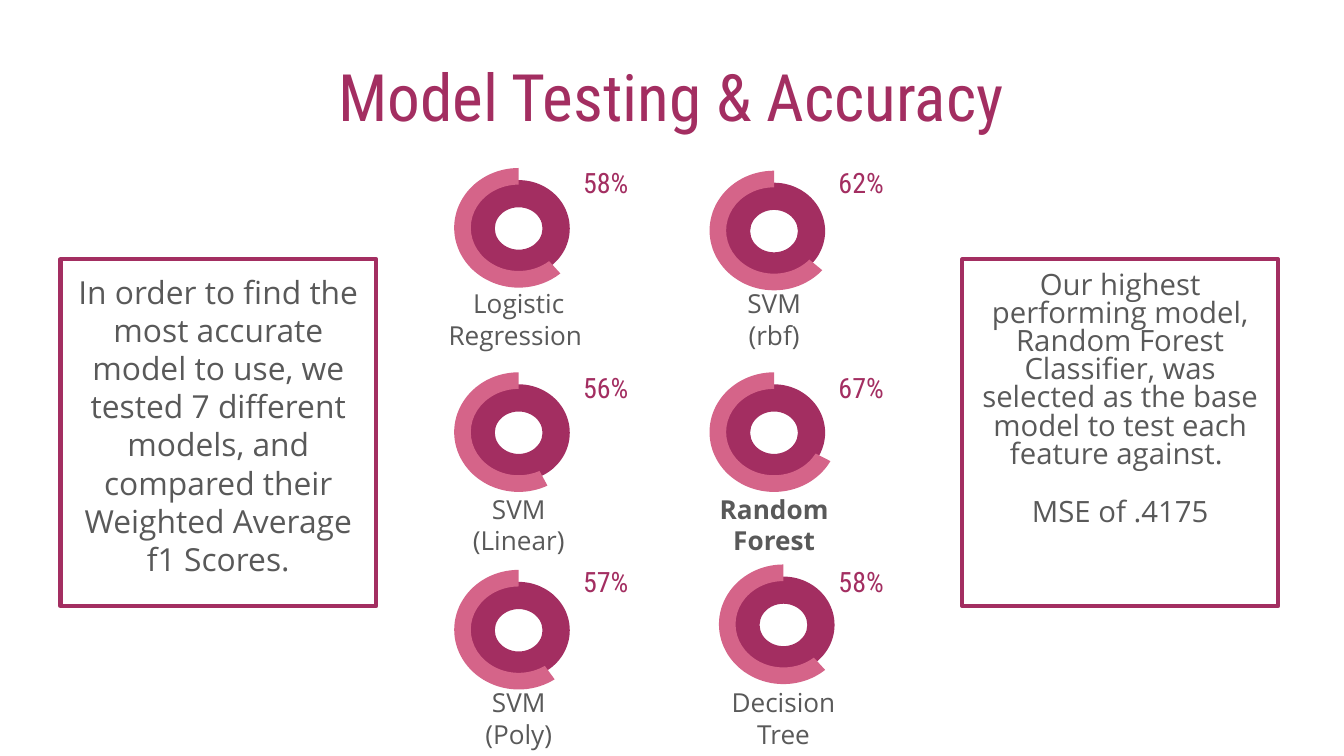
from dataclasses import dataclass

from pptx import Presentation
from pptx.dml.color import RGBColor
from pptx.enum.shapes import MSO_SHAPE
from pptx.enum.text import MSO_ANCHOR, PP_ALIGN
from pptx.util import Inches, Pt


@dataclass(frozen=True)
class Theme:
    """Colours, fonts and type sizes of the slide."""
    plum: RGBColor = RGBColor(0xA3, 0x2E, 0x61)
    pink: RGBColor = RGBColor(0xD5, 0x64, 0x89)
    gray: RGBColor = RGBColor(0x59, 0x59, 0x59)
    heading_font: str = "Roboto Condensed"
    body_font: str = "Open Sans"
    title_size: float = 35
    percent_size: float = 15
    caption_size: float = 14
    method_size: float = 17
    result_size: float = 15.7
    border: float = 2.25


@dataclass(frozen=True)
class Model:
    """A tested model, its score and the placing of its gauge in the cell."""
    name: str
    score: str
    arc_start: float
    gauge_top: float
    caption_width: float
    gauge_left: float = 0
    bold: bool = False


THEME = Theme()
GRID_LEFT, COLUMN_STEP = 3.38, 1.9
ROW_TOPS = (1.13, 2.66, 4.1)
MODEL_ROWS = (
    (Model("Logistic Regression ", "58%", 47.6, 0.12, 1.41),
     Model("SVM (rbf)", "62%", 39.48, 0.14, 0.81)),
    (Model("SVM (Linear)", "56%", 61.75, 0.11, 1.11),
     Model("Random Forest", "67%", 27.23, 0.11, 1.11, bold=True)),
    (Model("SVM (Poly)", "57%", 54.12, 0.14, 0.81),
     Model("Decision Tree", "58%", 47.6, 0.1, 1.24, gauge_left=0.07)),
)
METHOD = ("In order to find the most accurate model to use, we tested 7 different "
          "models, and compared their Weighted Average f1 Scores.",)
RESULT = ("Our highest performing model, Random Forest Classifier, was selected "
          "as the base model to test each feature against. ", "MSE of .4175")


def write_text(shape, lines, size, font, color, align=PP_ALIGN.CENTER,
               bold=False, line_spacing=None):
    """Fill a shape with top-anchored, wrapped paragraphs in one style."""
    frame = shape.text_frame
    frame.word_wrap = True
    frame.vertical_anchor = MSO_ANCHOR.TOP
    frame.margin_left = frame.margin_right = Inches(0.1)
    frame.margin_top = frame.margin_bottom = Inches(0.1)
    for index, line in enumerate(lines):
        paragraph = frame.add_paragraph() if index else frame.paragraphs[0]
        paragraph.text = line
        paragraph.alignment = align
        if index:
            paragraph.space_before = Pt(16)
        if line_spacing:
            paragraph.line_spacing = line_spacing
        paragraph.font.size = Pt(size)
        paragraph.font.name = font
        paragraph.font.bold = bold
        paragraph.font.color.rgb = color


def add_label(slide, left, top, width, height, text, size, font, color, **style):
    """Add a text box holding one paragraph."""
    box = slide.shapes.add_textbox(Inches(left), Inches(top), Inches(width), Inches(height))
    write_text(box, (text,), size, font, color, **style)


def add_ring(slide, kind, left, top, width, height, color, adjustments):
    """Add a borderless ring or arc with its preset adjustments."""
    shape = slide.shapes.add_shape(
        kind, Inches(left), Inches(top), Inches(width), Inches(height))
    shape.shadow.inherit = False
    shape.fill.solid()
    shape.fill.fore_color.rgb = color
    shape.line.fill.background()
    for index, value in enumerate(adjustments):
        shape.adjustments[index] = value


def add_gauge(slide, left, top, arc_start):
    """Draw a donut with an outer arc running from arc_start degrees to the top."""
    add_ring(slide, MSO_SHAPE.DONUT, left + 0.1, top + 0.09, 0.76, 0.72,
             THEME.plum, (0.281,))
    degree = 0.6
    add_ring(slide, MSO_SHAPE.BLOCK_ARC, left, top, 0.96, 0.89,
             THEME.pink, (arc_start * degree, 270 * degree, 0.139))


def add_model(slide, left, top, model):
    """Place one model's gauge, score and caption in its grid cell."""
    gauge_left = left + model.gauge_left
    add_gauge(slide, gauge_left, top + model.gauge_top, model.arc_start)
    add_label(slide, left + 0.86, top, 0.81, 0.29, model.score,
              THEME.percent_size, THEME.heading_font, THEME.plum, align=PP_ALIGN.LEFT)
    caption_left = gauge_left + (0.96 - model.caption_width) / 2
    add_label(slide, caption_left, top + 0.91, model.caption_width, 0.62, model.name,
              THEME.caption_size, THEME.body_font, THEME.gray, bold=model.bold)


def add_models(slide, left, row_tops):
    """Lay out the models in a grid of two columns."""
    for top, row in zip(row_tops, MODEL_ROWS):
        for column, model in enumerate(row):
            add_model(slide, left + column * COLUMN_STEP, top, model)


def add_panel(slide, left, top, width, height, lines, size, line_spacing=None):
    """Add an outlined panel of centred text."""
    panel = slide.shapes.add_shape(
        MSO_SHAPE.RECTANGLE, Inches(left), Inches(top), Inches(width), Inches(height))
    panel.shadow.inherit = False
    panel.fill.background()
    panel.line.color.rgb = THEME.plum
    panel.line.width = Pt(THEME.border)
    write_text(panel, lines, size, THEME.body_font, THEME.gray, line_spacing=line_spacing)


def main():
    """Build and save the presentation."""
    presentation = Presentation()
    presentation.slide_width = Inches(10)
    presentation.slide_height = presentation.slide_width * 9 // 16
    slide = presentation.slides.add_slide(presentation.slide_layouts[6])
    add_label(slide, 1.21, 0.32, 7.57, 0.62, "Model Testing & Accuracy",
              THEME.title_size, THEME.heading_font, THEME.plum)
    add_models(slide, GRID_LEFT, ROW_TOPS)
    add_panel(slide, 0.45, 1.93, 2.35, 2.58, METHOD, THEME.method_size)
    add_panel(slide, 7.16, 1.93, 2.35, 2.58, RESULT, THEME.result_size, line_spacing=0.8)
    presentation.save("out.pptx")


if __name__ == "__main__":
    main()
